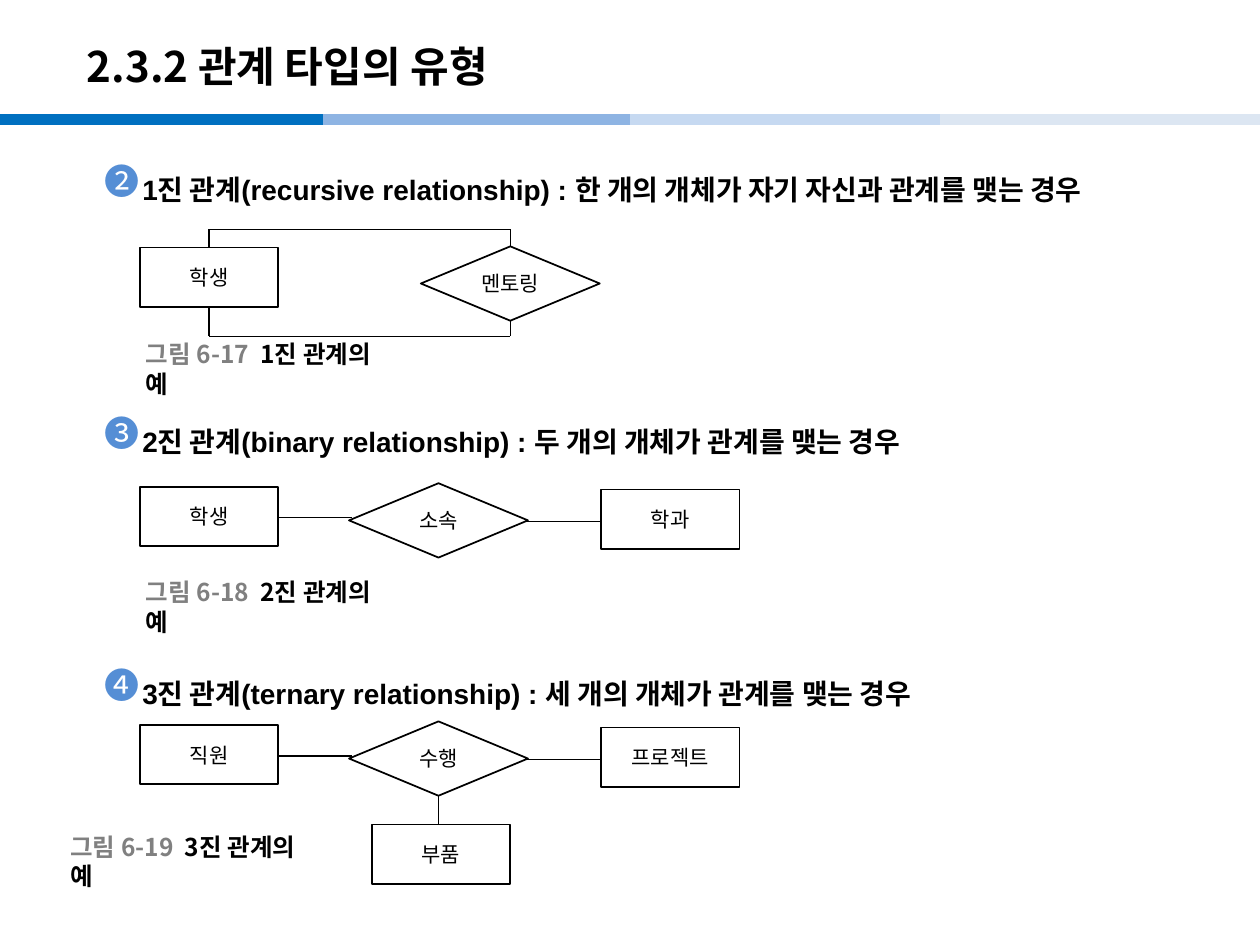
"""Build the slide on unary, binary and ternary relationship types."""
from dataclasses import dataclass

from lxml import etree
from pptx import Presentation
from pptx import util as u
from pptx.dml.color import RGBColor
from pptx.enum import shapes, text
from pptx.oxml import ns


@dataclass(frozen=True)
class Theme:
    korean: str = "Noto Sans CJK KR"
    latin: str = "Arial"
    ink: str = "000000"
    paper: str = "FFFFFF"
    muted: str = "808080"
    badge: str = "558ED5"
    band: tuple = ("0070C0", "8EB4E3", "C6D9F1", "DCE6F2")
    title_size: int = 24
    badge_size: int = 20
    heading_size: int = 16
    caption_size: int = 14
    node_size: int = 12
    band_weight: float = 6
    outline: float = 1
    link: float = 0.75


THEME = Theme()
WIDTH, HEIGHT = 10, 7.5
TITLE = "2.3.2 관계 타입의 유형"
BAND_Y, BAND_STARTS, BAND_LENGTH = 0.95, (0, 2.56, 5, 7.46), 2.56

SECTIONS = [
    ("❷", "1진 관계(recursive relationship) : 한 개의 개체가 자기 자신과 관계를 맺는 경우"),
    ("❸", "2진 관계(binary relationship) : 두 개의 개체가 관계를 맺는 경우"),
    ("❹", "3진 관계(ternary relationship) : 세 개의 개체가 관계를 맺는 경우"),
]
SECTION_TOP, SECTION_PITCH = 1.28, 2
CAPTIONS = [
    ("그림 6-17  ", "1진 관계의 예", 1.06, 2.77),
    ("그림 6-18  ", "2진 관계의 예", 1.06, 4.66),
    ("그림 6-19  ", "3진 관계의 예", 0.46, 6.68),
]

LEFT, MIDDLE, RIGHT, LOOP = 1.66, 3.48, 5.32, 4.05
ROWS = (2.2, 4.1, 5.99)
LOOP_TOP, LOOP_BOTTOM = 1.82, 2.67
PART_Y = 6.78
ENTITY_SIZE, RELATION_SIZE = (1.1, 0.47), (1.42, 0.59)
ENTITIES = [
    ("학생", LEFT, ROWS[0]),
    ("학생", LEFT, ROWS[1]),
    ("학과", RIGHT, ROWS[1] + 0.02),
    ("직원", LEFT, ROWS[2]),
    ("프로젝트", RIGHT, ROWS[2] + 0.02),
    ("부품", MIDDLE + 0.02, PART_Y),
]
RELATIONS = [
    ("멘토링", LOOP, ROWS[0] + 0.05),
    ("소속", MIDDLE, ROWS[1] + 0.03),
    ("수행", MIDDLE, ROWS[2] + 0.03),
]


def add_line(page, start, end, color=THEME.ink, weight=THEME.link):
    points = [u.Inches(value) for value in (*start, *end)]
    line = page.shapes.add_connector(shapes.MSO_CONNECTOR.STRAIGHT, *points)
    line.line.color.rgb = RGBColor.from_string(color)
    line.line.width = u.Pt(weight)
    etree.SubElement(line.element.spPr, ns.qn("a:effectLst"))


def style(span, size, color=THEME.ink, bold=False, latin=THEME.korean):
    span.font.size, span.font.bold, span.font.name = u.Pt(size), bold, latin
    span.font.color.rgb = RGBColor.from_string(color)
    face = etree.Element(ns.qn("a:ea"), typeface=THEME.korean)
    span.font.fill
    span.font._element.find(ns.qn("a:latin")).addnext(face)


def add_text(page, left, top, width, height, spans, wrap=False, inset=0.1):
    box = page.shapes.add_textbox(*map(u.Inches, (left, top, width, height)))
    frame = box.text_frame
    frame.word_wrap = wrap
    frame.vertical_anchor = text.MSO_ANCHOR.MIDDLE
    frame.margin_left = frame.margin_right = u.Inches(inset)
    for words, looks in spans:
        span = frame.paragraphs[0].add_run()
        span.text = words
        style(span, **looks)


def add_node(page, kind, size, words, center_x, center_y):
    width, height = size
    place = (center_x - width / 2, center_y - height / 2, width, height)
    node = page.shapes.add_shape(kind, *map(u.Inches, place))
    node.shadow.inherit = False
    node.fill.solid()
    node.fill.fore_color.rgb = RGBColor.from_string(THEME.paper)
    node.line.color.rgb = RGBColor.from_string(THEME.ink)
    node.line.width = u.Pt(THEME.outline)
    frame = node.text_frame
    frame.margin_left = frame.margin_right = 0
    frame.margin_top = frame.margin_bottom = 0
    frame.vertical_anchor = text.MSO_ANCHOR.MIDDLE
    frame.text = words
    para = frame.paragraphs[0]
    para.alignment = text.PP_ALIGN.CENTER
    style(para.runs[0], THEME.node_size)


def add_title(page):
    title = page.shapes.title
    title.left, title.top, title.width, title.height = map(
        u.Inches, (0.59, 0.22, 8.27, 0.6))
    title.text_frame.text = TITLE
    title.text_frame.vertical_anchor = text.MSO_ANCHOR.MIDDLE
    para = title.text_frame.paragraphs[0]
    para.alignment = text.PP_ALIGN.LEFT
    style(para.runs[0], THEME.title_size, bold=True)


def add_links(page):
    for y in (LOOP_TOP, LOOP_BOTTOM):
        add_line(page, (LEFT, y), (LOOP, y))
    for x in (LEFT, LOOP):
        add_line(page, (x, LOOP_TOP), (x, LOOP_BOTTOM))
    for y in ROWS[1:]:
        add_line(page, (LEFT, y + 0.01), (MIDDLE - 0.69, y + 0.01))
        add_line(page, (MIDDLE, y + 0.04), (RIGHT, y + 0.04))
    add_line(page, (MIDDLE, ROWS[2]), (MIDDLE, PART_Y), weight=THEME.outline)


def main():
    deck = Presentation()
    deck.slide_width, deck.slide_height = u.Inches(WIDTH), u.Inches(HEIGHT)
    page = deck.slides.add_slide(deck.slide_layouts[5])
    for start, color in zip(BAND_STARTS, THEME.band):
        end = min(start + BAND_LENGTH, WIDTH)
        add_line(page, (start, BAND_Y), (end, BAND_Y), color, THEME.band_weight)
    add_title(page)

    heading = dict(size=THEME.heading_size, bold=True, latin=THEME.latin)
    badge = dict(size=THEME.badge_size, color=THEME.badge)
    for index, (mark, words) in enumerate(SECTIONS):
        top = SECTION_TOP + index * SECTION_PITCH
        add_text(page, 1.13, top + 0.02, 8.28, 0.4, [(words, heading)], True, 0)
        add_text(page, 0.73, top, 0.47, 0.31, [(mark, badge)])

    add_links(page)
    for entity in ENTITIES:
        add_node(page, shapes.MSO_SHAPE.RECTANGLE, ENTITY_SIZE, *entity)
    for relation in RELATIONS:
        add_node(page, shapes.MSO_SHAPE.FLOWCHART_DECISION, RELATION_SIZE, *relation)

    label = dict(size=THEME.caption_size, color=THEME.muted, bold=True)
    caption = dict(size=THEME.caption_size, bold=True)
    for number, words, left, top in CAPTIONS:
        add_text(page, left, top, 2.05, 0.31, [(number, label), (words, caption)])
    deck.save("out.pptx")


if __name__ == "__main__":
    main()
